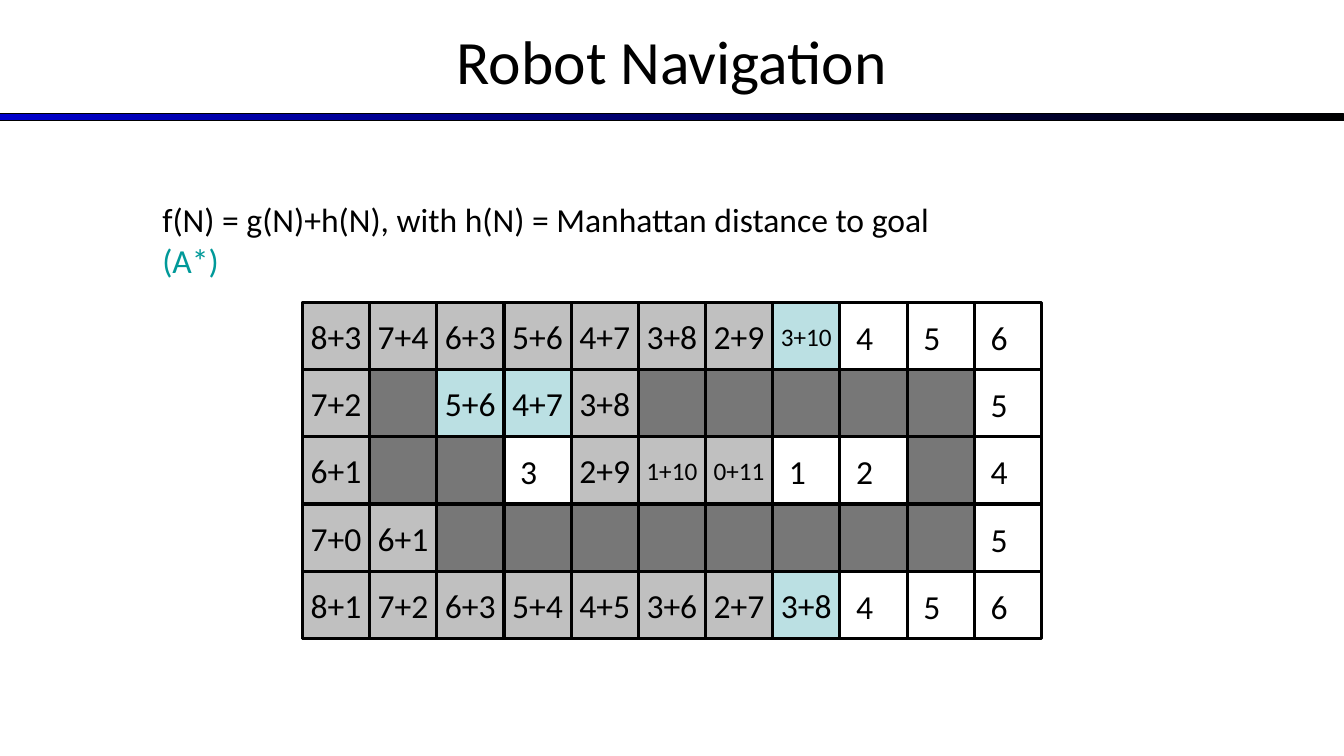
from lxml import etree
from pptx import Presentation
from pptx.dml.color import RGBColor
from pptx.enum.shapes import MSO_CONNECTOR, MSO_SHAPE
from pptx.enum.text import MSO_ANCHOR, PP_ALIGN
from pptx.oxml.ns import qn
from pptx.util import Cm, Pt

BLACK = RGBColor(0x00, 0x00, 0x00)
BLUE = RGBColor(0x00, 0x00, 0xCC)
TEAL = RGBColor(0x00, 0x99, 0x99)
WALL = RGBColor(0x77, 0x77, 0x77)
EXPANDED = RGBColor(0xC0, 0xC0, 0xC0)
FRINGE = RGBColor(0xBB, 0xE0, 0xE3)

FONT = "Calibri"
SLIDE_W = Cm(33.87)
LEFT, TOP = Cm(7.62), Cm(7.62)
CELL = Cm(5.08) // 3

# "#" is a wall, "g+h" an expanded cell, "*" marks the fringe,
# and a single digit is a cell that was never reached.
MAZE = [row.split() for row in (
    "8+3 7+4 6+3 5+6 4+7 3+8 2+9 *3+10 4 5 6",
    "7+2 # *5+6 *4+7 3+8 # # # # # 5",
    "6+1 # # 3 2+9 1+10 0+11 1 2 # 4",
    "7+0 6+1 # # # # # # # # 5",
    "8+1 7+2 6+3 5+4 4+5 3+6 2+7 *3+8 4 5 6",
)]
ROWS, COLS = len(MAZE), len(MAZE[0])


def style(p, size, color=BLACK, align=PP_ALIGN.LEFT):
    p.alignment = align
    p.font.name = FONT
    p.font.size = Pt(size)
    p.font.color.rgb = color


def add_title(s, text):
    title = s.shapes.title
    title.left, title.top = Cm(0), Cm(-0.08)
    title.width, title.height = SLIDE_W, Cm(3.18)
    tf = title.text_frame
    tf.text = text
    tf.vertical_anchor = MSO_ANCHOR.MIDDLE
    style(tf.paragraphs[0], 44, align=PP_ALIGN.CENTER)


def add_rect(s, left, top, width, height, line_width=2.25):
    sp = s.shapes.add_shape(MSO_SHAPE.RECTANGLE, left, top, width, height)
    sp.shadow.inherit = False
    sp.line.color.rgb = BLACK
    sp.line.width = Pt(line_width)
    return sp


def add_title_bar(s):
    bar = add_rect(s, Cm(0), Cm(2.87), SLIDE_W, Cm(0.18), 0.75)
    bar.fill.gradient()
    bar.fill.gradient_angle = 0
    for stop, color, position in zip(bar.fill.gradient_stops, (BLUE, BLACK), (0, 1)):
        stop.color.rgb = color
        stop.position = position


def add_text(s, left, top, width, height, lines):
    """Add a text box with one paragraph for each (text, colour) pair."""
    tf = s.shapes.add_textbox(left, top, width, height).text_frame
    tf.word_wrap = False
    for i, (text, color) in enumerate(lines):
        p = tf.add_paragraph() if i else tf.paragraphs[0]
        p.text = text
        style(p, 24, color)


def add_line(s, x1, y1, x2, y2):
    line = s.shapes.add_connector(MSO_CONNECTOR.STRAIGHT, x1, y1, x2, y2)
    line.line.color.rgb = BLACK
    line.line.width = Pt(2.25)
    etree.SubElement(line._element.spPr, qn("a:effectLst"))


def add_grid(s):
    right, bottom = LEFT + COLS * CELL, TOP + ROWS * CELL
    add_rect(s, LEFT, TOP, COLS * CELL, ROWS * CELL).fill.background()
    for col in range(1, COLS):
        add_line(s, LEFT + col * CELL, TOP, LEFT + col * CELL, bottom)
    for row in range(1, ROWS):
        add_line(s, LEFT, TOP + row * CELL, right, TOP + row * CELL)


def add_filled_cell(s, x, y, color, label=""):
    sp = add_rect(s, x, y, CELL, CELL)
    sp.fill.solid()
    sp.fill.fore_color.rgb = color
    if label:
        tf = sp.text_frame
        tf.word_wrap = False
        tf.vertical_anchor = MSO_ANCHOR.MIDDLE
        tf.text = label
        style(tf.paragraphs[0], 18 if len(label) > 3 else 24, align=PP_ALIGN.CENTER)


def add_cell(s, row, col, mark):
    x, y = LEFT + col * CELL, TOP + row * CELL
    if mark == "#":
        add_filled_cell(s, x, y, WALL)
    elif "+" in mark:
        color = FRINGE if mark.startswith("*") else EXPANDED
        add_filled_cell(s, x, y, color, mark.lstrip("*"))
    else:
        add_text(s, x + Cm(0.16), y + Cm(0.24), Cm(1.04), Cm(1.27), [(mark, BLACK)])


def main():
    prs = Presentation()
    prs.slide_width, prs.slide_height = SLIDE_W, Cm(19.05)
    s = prs.slides.add_slide(prs.slide_layouts[5])
    add_title(s, "Robot Navigation")
    add_title_bar(s)
    add_text(s, Cm(3.84), Cm(4.9), Cm(25.04), Cm(2.29), [
        ("f(N) = g(N)+h(N), with h(N) = Manhattan distance to goal", BLACK),
        ("(A*)", TEAL),
    ])
    add_grid(s)
    for row, marks in enumerate(MAZE):
        for col, mark in enumerate(marks):
            add_cell(s, row, col, mark)
    prs.save("out.pptx")


if __name__ == "__main__":
    main()
